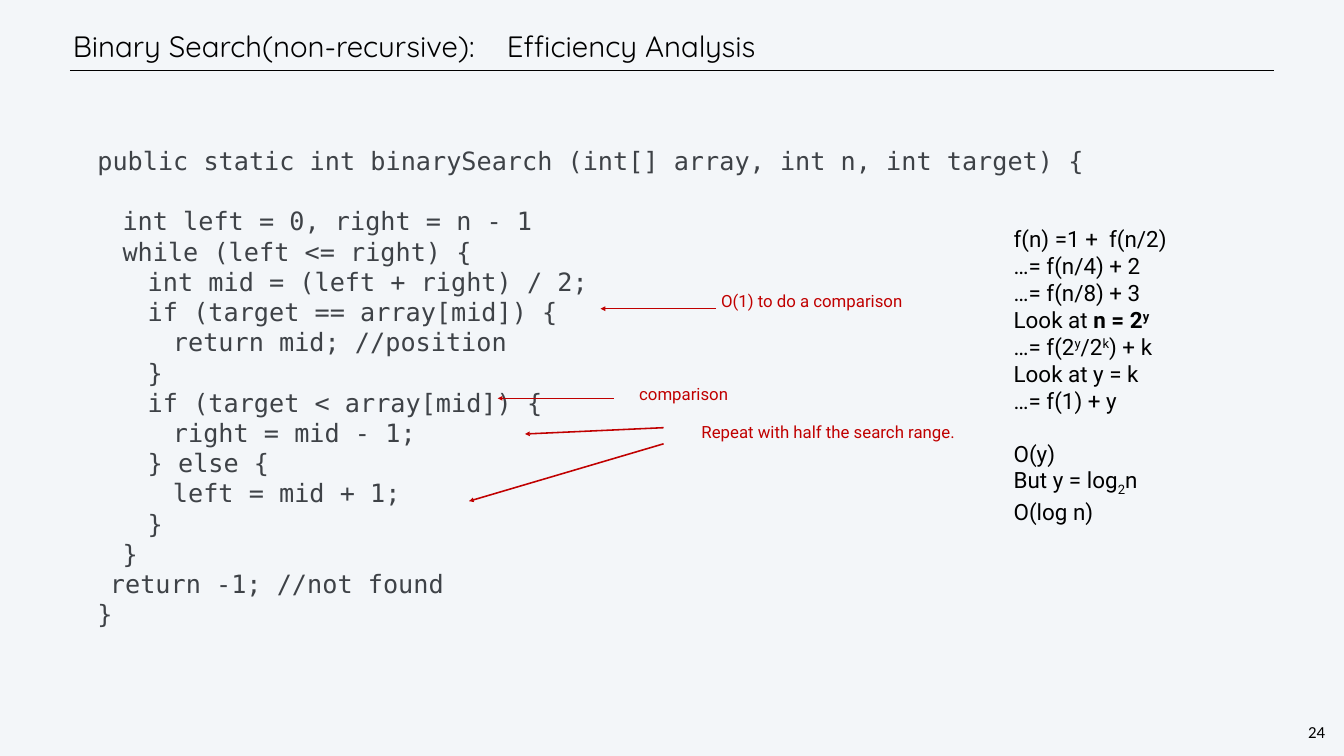
from lxml import etree
from pptx import Presentation
from pptx.dml.color import RGBColor
from pptx.enum.shapes import MSO_CONNECTOR
from pptx.enum.text import MSO_ANCHOR, PP_ALIGN
from pptx.oxml.ns import qn
from pptx.util import Emu, Pt

STRAIGHT = MSO_CONNECTOR.STRAIGHT
MIDDLE = MSO_ANCHOR.MIDDLE
CENTER = PP_ALIGN.CENTER
PX = 12700  # 72 px to the inch

THEME = {
    "background": "F3F6F9",
    "rule": "000000",
    "arrow": "C00000",
    "title": {"font": "Quicksand", "size": 42, "color": "000000", "leading": 50},
    "code": {"font": "DejaVu Sans Mono", "size": 36, "color": "3E4247", "leading": 43.2},
    "remark": {"font": "Roboto", "size": 24, "color": "C00000", "leading": None},
    "analysis": {"font": "Roboto", "size": 32, "color": "000000", "leading": 38.5},
    "page": {"font": "Calibri", "size": 24, "color": "000000", "leading": 28},
}
BOLD = {"bold": True}
SUPER = {"baseline": 30000}
BOLD_SUPER = {**BOLD, **SUPER}
SUB = {"baseline": -25000}


def add_text(box, lines, style, gaps=None, tabs=(), align=None, **frame_format):
    """Each line is a string or a list of (text, format) runs; gaps maps line to space before."""
    frame = slide.shapes.add_textbox(*(Emu(v * PX) for v in box)).text_frame
    for name, value in {"word_wrap": True, **frame_format}.items():
        setattr(frame, name, value)
    look = THEME[style]
    for index, line in enumerate(lines):
        paragraph = frame.paragraphs[0] if index == 0 else frame.add_paragraph()
        paragraph.alignment = align
        if look["leading"]:
            paragraph.line_spacing = Pt(look["leading"])
        if gaps and index in gaps:
            paragraph.space_before = Pt(gaps[index])
        if tabs:
            stops = etree.SubElement(paragraph._p.get_or_add_pPr(), qn("a:tabLst"))
            for stop in tabs:
                etree.SubElement(stops, qn("a:tab"), pos=str(stop * PX), algn="l")
        for text, run_format in [(line, {})] if isinstance(line, str) else line:
            run = paragraph.add_run()
            run.text = text
            base = {"name": look["font"], "size": Pt(look["size"]), "bold": run_format.get("bold")}
            for name, value in base.items():
                setattr(run.font, name, value)
            run.font.color.rgb = RGBColor.from_string(look["color"])
            if "baseline" in run_format:
                run.font._element.set("baseline", str(run_format["baseline"]))
    return frame


def add_line(start, end, color, width, arrow=False):
    line = slide.shapes.add_connector(STRAIGHT, *(Emu(v * PX) for v in (*start, *end)))
    line.line.color.rgb = RGBColor.from_string(color)
    line.line.width = Pt(width)
    if arrow:
        etree.SubElement(line.line._get_or_add_ln(), qn("a:tailEnd"), type="triangle")
    etree.SubElement(line._element.spPr, qn("a:effectLst"))


presentation = Presentation()
presentation.slide_width = Emu(1920 * PX)
presentation.slide_height = Emu(1080 * PX)
slide = presentation.slides.add_slide(presentation.slide_layouts[6])
slide.background.fill.solid()
slide.background.fill.fore_color.rgb = RGBColor.from_string(THEME["background"])

# Title, rule and page number
SIDES = ("margin_left", "margin_top", "margin_right", "margin_bottom")
add_line((100, 101), (1820, 101), THEME["rule"], 1)
add_text((100, 30, 1629, 71), ["Binary Search(non-recursive):\tEfficiency Analysis"], "title",
         tabs=[620], vertical_anchor=MIDDLE, **dict.fromkeys(SIDES, Emu(4 * PX)))
add_text((1856, 1029, 50, 35), ["24"], "page", align=CENTER, word_wrap=False,
         **dict.fromkeys(SIDES, Emu(3 * PX)))

# Code listing
code_lines = [
    "public static int binarySearch (int[] array, int n, int target) {",
    "\tint left = 0, right = n - 1",
    "\twhile (left <= right) {",
    "\t\tint mid = (left + right) / 2;",
    "\t\tif (target == array[mid]) {",
    "\t\t\treturn mid; //position",
    "\t\t}",
    "\t\tif (target < array[mid]) {",
    "\t\t\tright = mid - 1;",
    "\t\t} else {",
    "\t\t\tleft = mid + 1;",
    "\t\t}",
    "\t}",
    "return -1; //not found",
    "}",
]
code = add_text((132, 204, 1434, 705), code_lines, "code", gaps={1: 43},
                tabs=[36 * level for level in (1, 2, 3)], word_wrap=False)
final_return = code.paragraphs[-2]._p.get_or_add_pPr()
final_return.set("marL", str(18 * PX))
final_return.set("indent", "0")

# Remarks on the code, with their arrows
remarks = [
    ("O(1) to do a comparison", (1023, 412, 834, 36), [((1023, 441), (858, 441))]),
    ("Repeat with half the search range.", (995, 599, 533, 36),
     [((948, 611), (750, 620)), ((948, 634), (670, 716))]),
    ("comparison", (906, 545, 834, 36), [((877, 569), (711, 569))]),
]
for remark, box, arrows in remarks:
    add_text(box, [remark], "remark")
    for start, end in arrows:
        add_line(start, end, THEME["arrow"], 2.25, arrow=True)

# Efficiency analysis
analysis_lines = [
    "f(n) =1 +  f(n/2)",
    "…= f(n/4) + 2",
    "…= f(n/8) + 3",
    [("Look at ", {}), ("n = 2", BOLD), ("y", BOLD_SUPER)],
    [("…= f(2", {}), ("y", SUPER), ("/2", {}), ("k", SUPER), (") + k", {})],
    "Look at y = k",
    "…= f(1) + y",
    "O(y)",
    [("But y = log", {}), ("2", SUB), ("n", {})],
    "O(log n)",
]
add_text((1441, 318, 383, 472), analysis_lines, "analysis", gaps={7: 38, 8: 4, 9: 1})

presentation.save("out.pptx")
